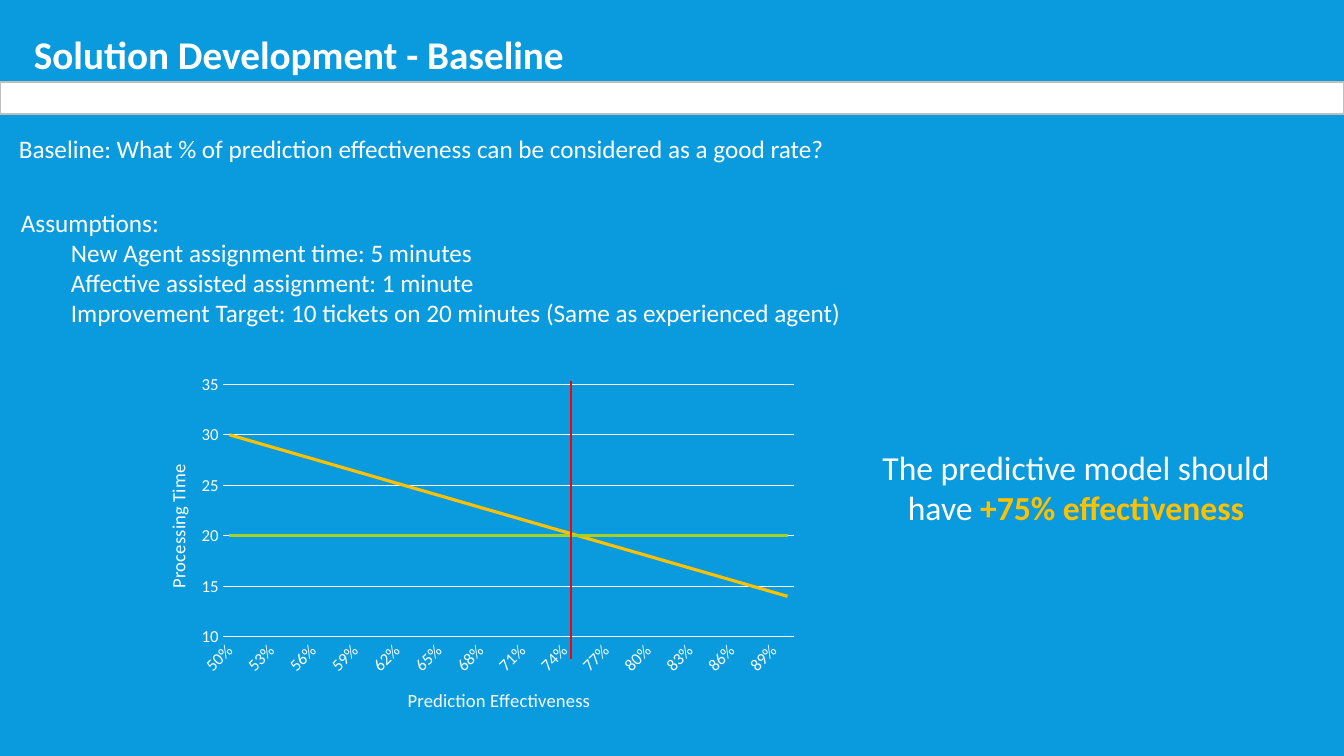
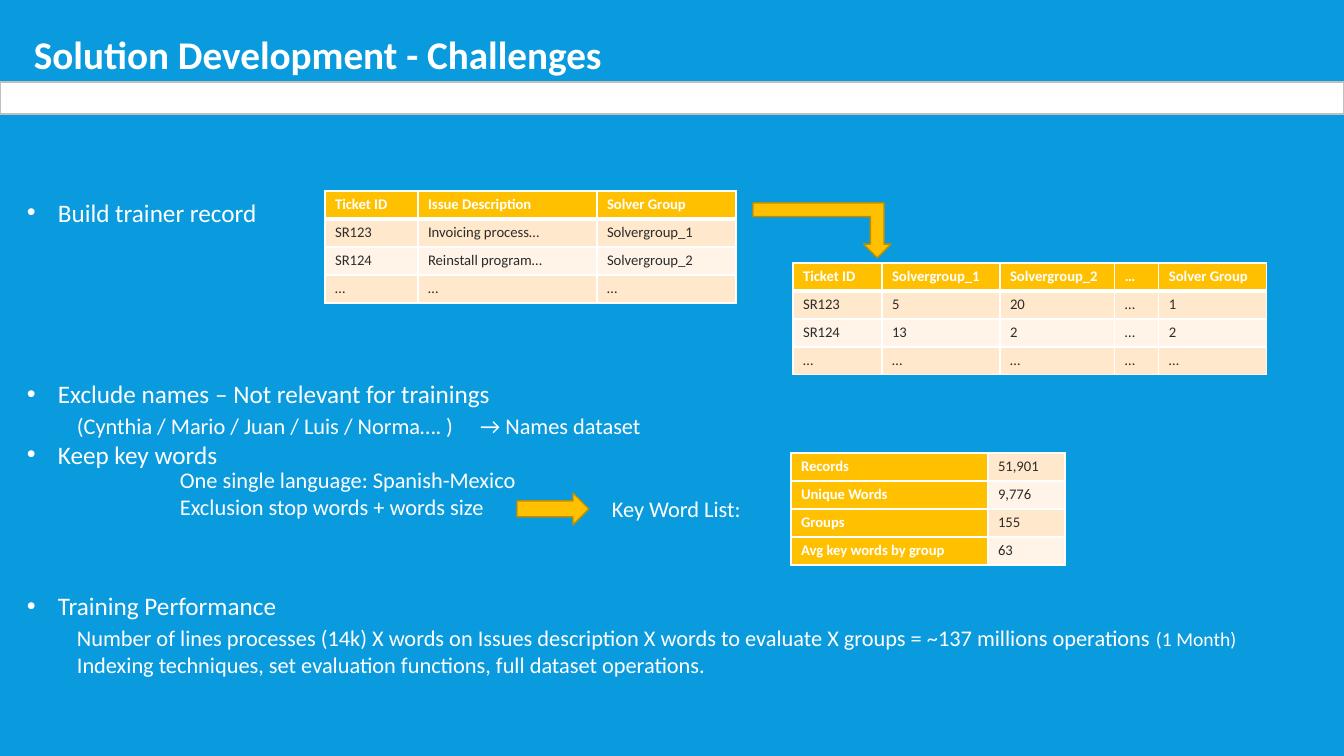
from dataclasses import dataclass
from typing import NamedTuple, Optional

from lxml.etree import SubElement
from pptx import Presentation
from pptx.chart.data import CategoryChartData
from pptx.dml.color import RGBColor
from pptx.enum.chart import XL_CHART_TYPE, XL_TICK_MARK
from pptx.enum.shapes import MSO_CONNECTOR, MSO_SHAPE
from pptx.enum.text import PP_ALIGN
from pptx.oxml import parse_xml
from pptx.oxml.ns import nsdecls, qn
from pptx.util import Pt

EMU_PER_PIXEL = 914400 / 100.8
FONT = "Calibri"
BLUE, WHITE, GREY, DARK = "099BDD", "FFFFFF", "BFBFBF", "2C2C2C"
AMBER, AMBER_EDGE, GREEN, RED = "FFC000", "BD8E00", "A5D028", "FF0000"
ROW_TINTS = ("FFE8CC", "FFF4E7")


class Box(NamedTuple):
    left: int
    top: int
    width: int
    height: int


@dataclass
class Run:
    text: str
    size: Optional[float] = None
    color: Optional[str] = None
    bold: Optional[bool] = None


@dataclass
class Line:
    runs: list[Run]
    size: float = 18
    bold: bool = False
    margin: int = 0
    bullet: bool = False
    before: float = 0
    align: Optional[PP_ALIGN] = None
    tab: Optional[int] = None


@dataclass
class Grid:
    left: int
    top: int
    widths: list[int]
    rows: list[list[str]]
    header_row: bool = True


def px(pixels: float) -> int:
    return round(pixels * EMU_PER_PIXEL)


def rgb(color: str) -> RGBColor:
    return RGBColor.from_string(color)


def place(box: Box) -> list[int]:
    return [px(length) for length in box]


def set_font(font, size=None, color=None, bold=None) -> None:
    font.name = FONT
    if size is not None:
        font.size = Pt(size)
    if color is not None:
        font.color.rgb = rgb(color)
    if bold is not None:
        font.bold = bold


def add_text(slide, box: Box, lines: list[Line], wrap: bool = True) -> None:
    frame = slide.shapes.add_textbox(*place(box)).text_frame
    frame.word_wrap = wrap
    for index, line in enumerate(lines):
        paragraph = frame.add_paragraph() if index else frame.paragraphs[0]
        paragraph.space_before = Pt(line.before)
        if line.align is not None:
            paragraph.alignment = line.align
        properties = paragraph._p.get_or_add_pPr()
        if line.margin:
            properties.set("marL", str(px(line.margin)))
            properties.set("indent", str(-px(line.margin) if line.bullet else 0))
        if line.bullet:
            SubElement(properties, qn("a:buFont")).set("typeface", "Arial")
            SubElement(properties, qn("a:buChar")).set("char", "•")
        if line.tab:
            stops = SubElement(properties, qn("a:tabLst"))
            stop = SubElement(stops, qn("a:tab"))
            stop.set("pos", str(px(line.tab)))
            stop.set("algn", "l")
        set_font(paragraph.font, line.size, WHITE, line.bold)
        for part in line.runs:
            run = paragraph.add_run()
            run.text = part.text
            if part.size or part.color or part.bold:
                set_font(run.font, part.size, part.color, part.bold)


def add_filled(slide, preset: MSO_SHAPE, box: Box, fill: str, edge: str):
    shape = slide.shapes.add_shape(preset, *place(box))
    shape.shadow.inherit = False
    shape.fill.solid()
    shape.fill.fore_color.rgb = rgb(fill)
    shape.line.color.rgb = rgb(edge)
    shape.line.width = Pt(1)
    return shape


def add_titled_slide(presentation, title: str):
    slide = presentation.slides.add_slide(presentation.slide_layouts[6])
    add_text(slide, Box(24, 25, 600, 57), [Line([Run(title)], 28, True)], wrap=False)
    band = add_filled(slide, MSO_SHAPE.ROUNDED_RECTANGLE, Box(0, 82, 1344, 32), WHITE, GREY)
    band.adjustments[0] = 0
    return slide


def set_borders(cell, top: float, bottom: float) -> None:
    properties = cell._tc.get_or_add_tcPr()
    sides = {"lnL": 1, "lnR": 1, "lnT": top, "lnB": bottom}
    for position, (tag, width) in enumerate(sides.items()):
        properties.insert(position, parse_xml(
            f'<a:{tag} {nsdecls("a")} w="{Pt(width)}"><a:solidFill>'
            f'<a:srgbClr val="{WHITE}"/></a:solidFill></a:{tag}>'))


def add_grid(slide, grid: Grid) -> None:
    row_height = 28
    box = Box(grid.left, grid.top, sum(grid.widths), row_height * len(grid.rows))
    table = slide.shapes.add_table(len(grid.rows), len(grid.widths), *place(box)).table
    for column, width in zip(table.columns, grid.widths):
        column.width = px(width)
    for row_index, texts in enumerate(grid.rows):
        table.rows[row_index].height = px(row_height)
        for column_index, text in enumerate(texts):
            header = (row_index if grid.header_row else column_index) == 0
            tint = ROW_TINTS[(row_index - grid.header_row) % 2]
            cell = table.cell(row_index, column_index)
            cell.text = text
            set_font(cell.text_frame.paragraphs[0].font, 10.5, WHITE if header else DARK, header)
            cell.fill.solid()
            cell.fill.fore_color.rgb = rgb(AMBER if header else tint)
            set_borders(cell, top=3 if grid.header_row and row_index == 1 else 1,
                        bottom=3 if grid.header_row and header else 1)


def manual_layout(left: float, top: float, width=None, height=None, inner: bool = False):
    target = '<c:layoutTarget val="inner"/>' if inner else ""
    values = {"x": left, "y": top, "w": width, "h": height}
    sizes = "".join(f'<c:{key} val="{value}"/>' for key, value in values.items() if value)
    return parse_xml(f'<c:layout {nsdecls("c")}><c:manualLayout>{target}<c:xMode val="edge"/>'
                     f'<c:yMode val="edge"/>{sizes}</c:manualLayout></c:layout>')


def replace_layout(parent, layout, position: int) -> None:
    for old in parent.findall(qn("c:layout")):
        parent.remove(old)
    parent.insert(position, layout)


def style_axis(axis, title: str, left: float, top: float) -> None:
    axis.major_tick_mark = XL_TICK_MARK.NONE
    axis.minor_tick_mark = XL_TICK_MARK.NONE
    set_font(axis.tick_labels.font, 12, WHITE)
    axis.axis_title.text_frame.text = title
    set_font(axis.axis_title.text_frame.paragraphs[0].font, 13.3, WHITE, False)
    replace_layout(axis.axis_title._element, manual_layout(left, top), 1)


def add_time_chart(slide, box: Box) -> None:
    percents = range(50, 91)
    data = CategoryChartData()
    data.categories = [f"{percent}%" for percent in percents]
    data.add_series("Series 1", [round(50 - 0.4 * percent, 1) for percent in percents])
    data.add_series("Series 2", [20] * len(percents))
    chart = slide.shapes.add_chart(XL_CHART_TYPE.LINE, *place(box), data).chart
    chart.has_legend = False
    chart.has_title = False
    set_font(chart.font, 10, WHITE)
    plot = chart.plots[0]
    plot.vary_by_categories = False
    for series, color in zip(plot.series, (AMBER, GREEN)):
        series.smooth = False
        series.format.line.color.rgb = rgb(color)
        series.format.line.width = Pt(2.25)

    # Axes
    categories, values = chart.category_axis, chart.value_axis
    style_axis(categories, "Prediction Effectiveness", 0.4, 0.87)
    style_axis(values, "Processing Time", 0.04, 0.26)
    values.minimum_scale, values.maximum_scale, values.major_unit = 10, 35, 5
    values.tick_labels.number_format = "0"
    values.tick_labels.number_format_is_linked = False
    values.format.line.fill.background()
    values.has_major_gridlines = True
    for line in (categories.format.line, values.major_gridlines.format.line):
        line.color.rgb = rgb(WHITE)
        line.width = Pt(0.75)
    axis_element = categories._element
    axis_element.find(f"{qn('c:txPr')}/{qn('a:bodyPr')}").set("rot", "-2700000")
    skip = parse_xml(f'<c:tickLblSkip {nsdecls("c")} val="3"/>')
    axis_element.find(qn("c:noMultiLvlLbl")).addprevious(skip)
    plot_area = plot._element.getparent()
    replace_layout(plot_area, manual_layout(0.13, 0.05, 0.85, 0.69, inner=True), 0)


def add_marker(slide, x: int, bottom: int, top: int) -> None:
    marker = slide.shapes.add_connector(
        MSO_CONNECTOR.STRAIGHT, px(x), px(bottom), px(x), px(top))
    marker.line.color.rgb = rgb(RED)
    marker.line.width = Pt(1.5)
    SubElement(marker.element.spPr, qn("a:effectLst"))


presentation = Presentation()
presentation.slide_width, presentation.slide_height = px(1344), px(756)
background = presentation.slide_master.background.fill
background.solid()
background.fore_color.rgb = rgb(BLUE)

# Baseline slide
baseline = add_titled_slide(presentation, "Solution Development - Baseline")
add_text(baseline, Box(9, 128, 836, 40), [
    Line([Run("Baseline: What % of prediction effectiveness can be considered as a good rate?")])])
assumptions = ("New Agent assignment time: 5 minutes", "Affective assisted assignment: 1 minute",
               "Improvement Target: 10 tickets on 20 minutes (Same as experienced agent)")
add_text(baseline, Box(11, 202, 870, 132), [
    Line([Run("Assumptions:")]), *(Line([Run(text)], margin=50) for text in assumptions)])
add_time_chart(baseline, Box(135, 366, 673, 366))
add_text(baseline, Box(861, 442, 430, 92), [
    Line([Run("The predictive model should have "), Run("+75% effectiveness", None, AMBER, True)],
         24, align=PP_ALIGN.CENTER)])
add_marker(baseline, 571, 659, 381)

# Challenges slide: main list
challenges = add_titled_slide(presentation, "Solution Development - Challenges")
add_text(challenges, Box(17, 192, 1316, 495), [
    Line([Run("Build trainer record")], margin=31, bullet=True),
    Line([Run("Exclude names – Not relevant for trainings")], margin=31, bullet=True, before=108),
    Line([Run("(Cynthia / Mario / Juan / Luis / Norma…. )\t→ Names dataset")],
         16, margin=50, before=2.4, tab=451),
    Line([Run("Keep key words")], margin=31, bullet=True),
    Line([Run("Training Performance")], margin=31, bullet=True, before=86.5),
    Line([Run("Number of lines processes (14k) X words on Issues description X words to "
              "evaluate X groups = ~137 millions operations "), Run("(1 Month)", 14)],
         16, margin=50, before=2.4),
    Line([Run("Indexing techniques, set evaluation functions, full dataset operations.")],
         16, margin=50)])

# Challenges slide: tables
for grid in (
    Grid(325, 191, [93, 179, 139], [
        ["Ticket ID", "Issue Description", "Solver Group"],
        ["SR123", "Invoicing process…", "Solvergroup_1"],
        ["SR124", "Reinstall program…", "Solvergroup_2"],
        ["…"] * 3]),
    Grid(793, 263, [89, 118, 115, 44, 108], [
        ["Ticket ID", "Solvergroup_1", "Solvergroup_2", "…", "Solver Group"],
        ["SR123", "5", "20", "…", "1"],
        ["SR124", "13", "2", "…", "2"],
        ["…"] * 5]),
    Grid(791, 453, [197, 77], [
        ["Records", "51,901"], ["Unique Words", "9,776"],
        ["Groups", "155"], ["Avg key words by group", "63"]], header_row=False),
):
    add_grid(challenges, grid)

# Challenges slide: arrows and key words
bent_arrow = add_filled(challenges, MSO_SHAPE.BENT_UP_ARROW, Box(753, 203, 138, 55),
                        AMBER, AMBER_EDGE)
bent_arrow.element.spPr.get_or_add_xfrm().set("flipV", "1")
add_filled(challenges, MSO_SHAPE.RIGHT_ARROW, Box(517, 493, 72, 32), AMBER, AMBER_EDGE)
add_text(challenges, Box(170, 461, 375, 65), [
    Line([Run("One single language: Spanish-Mexico")], 16),
    Line([Run("Exclusion stop words + words size")], 16)], wrap=False)
add_text(challenges, Box(602, 490, 154, 37), [Line([Run("Key Word List:")], 16)], wrap=False)

presentation.save("out.pptx")
